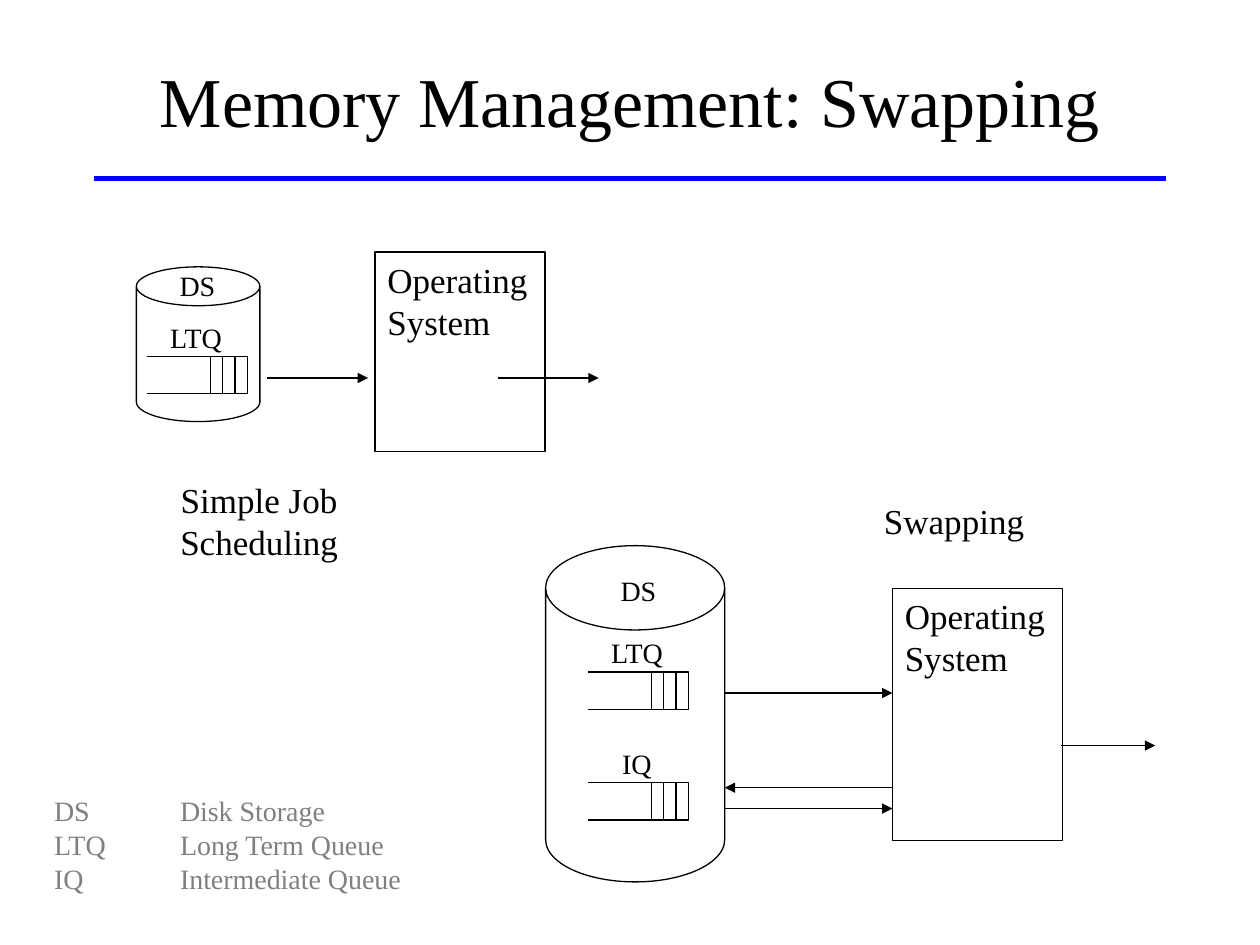
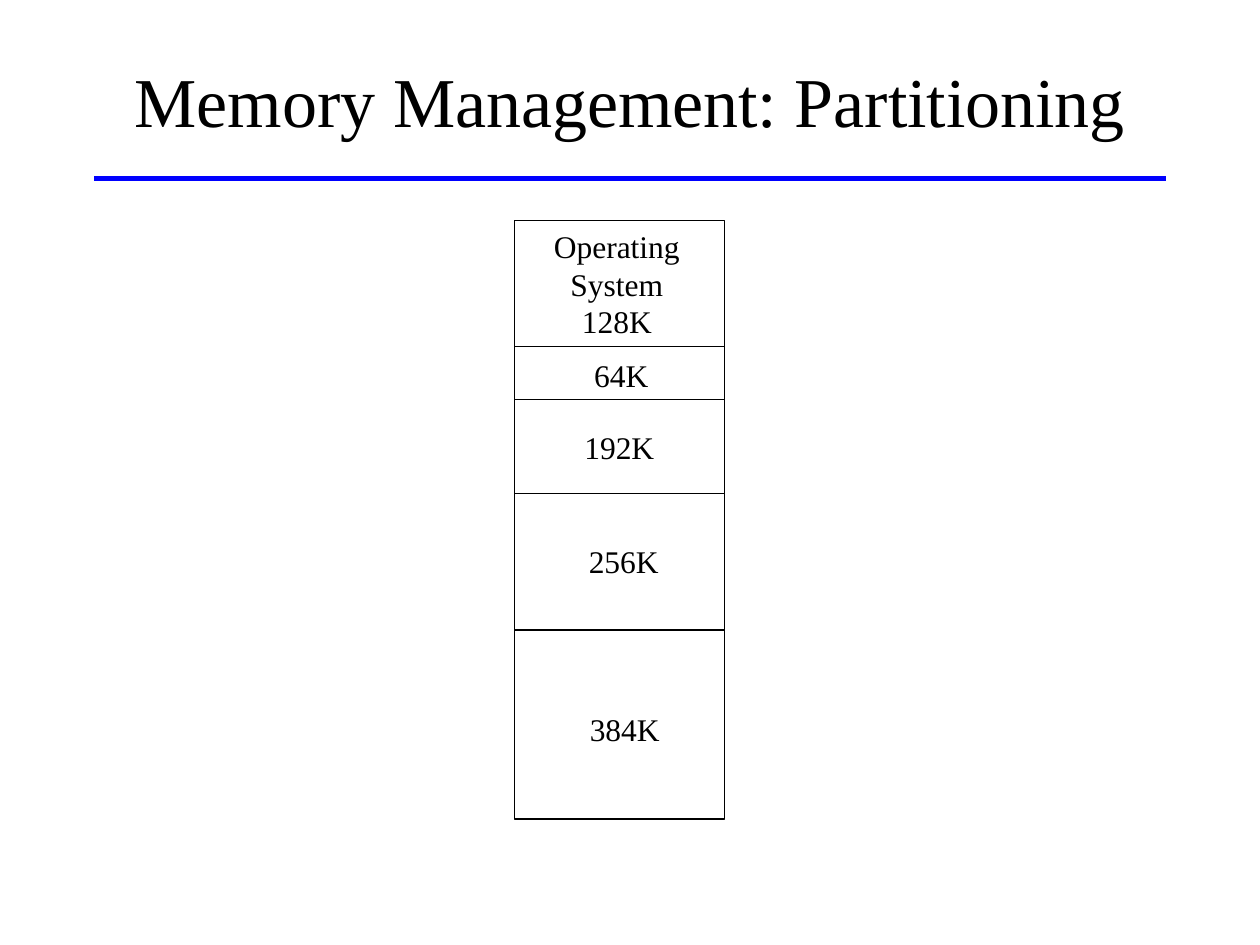
from lxml.etree import SubElement
from pptx import Presentation
from pptx.dml.color import RGBColor
from pptx.enum.shapes import MSO_CONNECTOR, MSO_SHAPE
from pptx.enum.text import MSO_ANCHOR, MSO_AUTO_SIZE, PP_ALIGN
from pptx.oxml.ns import qn
from pptx.util import Cm, Pt

COLORS = {"ink": "000000", "rule": "0000FF", "legend": "808080"}
FONT = "Times New Roman"
TITLE_ONLY = 5
OS_WIDTH = 3.43
TAB_WIDTH = Cm(2.54)


def color(name):
    return RGBColor.from_string(COLORS[name])


def write(frame, text, size, align=PP_ALIGN.LEFT, ink="ink", anchor=MSO_ANCHOR.TOP):
    """Fill a text frame; each line of text becomes a paragraph."""
    frame.text = text
    frame.word_wrap = True
    frame.auto_size = MSO_AUTO_SIZE.NONE
    frame.vertical_anchor = anchor
    for paragraph in frame.paragraphs:
        paragraph.alignment = align
        paragraph.font.name = FONT
        paragraph.font.size = Pt(size)
        paragraph.font.color.rgb = color(ink)


def add_text(slide, text, left, top, width, height, size, **style):
    box = slide.shapes.add_textbox(Cm(left), Cm(top), Cm(width), Cm(height))
    write(box.text_frame, text, size, **style)
    return box.text_frame


def outline(shape):
    shape.shadow.inherit = False
    shape.fill.background()
    shape.line.color.rgb = color("ink")
    shape.line.width = Pt(0.75)


def add_outlined(slide, kind, left, top, width, height):
    shape = slide.shapes.add_shape(kind, Cm(left), Cm(top), Cm(width), Cm(height))
    outline(shape)
    return shape


def add_line(slide, x1, y1, x2, y2, ink="ink", weight=0.75, arrow=False):
    line = slide.shapes.add_connector(
        MSO_CONNECTOR.STRAIGHT, Cm(x1), Cm(y1), Cm(x2), Cm(y2))
    line.line.color.rgb = color(ink)
    line.line.width = Pt(weight)
    if arrow:
        SubElement(line.line._get_or_add_ln(), qn("a:tailEnd"), type="triangle")
    SubElement(line._element.spPr, qn("a:effectLst"))


def start_slide(prs, title):
    """Slide with the shared title style and blue rule."""
    slide = prs.slides.add_slide(prs.slide_layouts[TITLE_ONLY])
    heading = slide.shapes.title
    heading.left, heading.top = Cm(1.9), Cm(0.42)
    heading.width, heading.height = Cm(21.6), Cm(3.18)
    write(heading.text_frame, title, 40, PP_ALIGN.CENTER, anchor=MSO_ANCHOR.MIDDLE)
    add_line(slide, 1.9, 3.6, 23.5, 3.6, "rule", 3)
    return slide


def add_queue(slide, name, left, top):
    """Open-ended queue with three slots at its right end."""
    width, height, slot = 2.02, 0.75, 0.25
    right, bottom = left + width, top + height
    builder = slide.shapes.build_freeform(Cm(left), Cm(top))
    builder.add_line_segments(
        [(Cm(right), Cm(top)), (Cm(right), Cm(bottom)), (Cm(left), Cm(bottom))],
        close=False)
    outline(builder.convert_to_shape())
    for i in range(1, 4):
        x = right - i * slot
        add_line(slide, x, top, x, bottom)
    add_text(slide, name, left - 0.03, top - 0.86, width, 0.94, 16,
             align=PP_ALIGN.CENTER)


def add_disk(slide, left, top, width, height, lid, name_top, queue_left, queues):
    """Disk storage cylinder holding queues, given as (name, top) in the disk."""
    disk = add_outlined(slide, MSO_SHAPE.CAN, left, top, width, height)
    disk.adjustments[0] = lid
    add_text(slide, "DS", left + queue_left, top + name_top, 2.02, 0.94, 16,
             align=PP_ALIGN.CENTER)
    for name, queue_top in queues:
        add_queue(slide, name, left + queue_left, top + queue_top)


def add_operating_system(slide, left, top, height):
    system = add_outlined(slide, MSO_SHAPE.RECTANGLE, left, top, OS_WIDTH, height)
    write(system.text_frame, "Operating\nSystem", 20)


def add_simple_scheduling(slide, left, top):
    add_disk(slide, left, top + 0.3, 2.49, 3.12, 0.315, -0.1, 0.22, [("LTQ", 1.81)])
    add_operating_system(slide, left + 4.81, top, 4.02)
    # Job flow into and out of memory
    for start in (2.64, 7.29):
        add_line(slide, left + start, top + 2.54, left + start + 2.03, top + 2.54,
                 arrow=True)
    add_text(slide, "Simple Job\vScheduling", left + 0.6, top + 4.45, 3.75, 1.9, 20,
             align=PP_ALIGN.CENTER)


def add_swapping(slide, left, top):
    disk_right, system_left = 3.61, 6.99
    system_right = system_left + OS_WIDTH
    add_disk(slide, left, top + 1.04, disk_right, 6.78, 0.471, 0.43, 0.86,
             [("LTQ", 2.55), ("IQ", 4.78)])
    add_operating_system(slide, left + system_left, top + 1.9, 5.08)
    # Load, swap out, swap in, leave
    for start, end, y in [(disk_right, system_left, 4.01),
                          (system_left, disk_right, 5.92),
                          (disk_right, system_left, 6.34),
                          (system_right - 0.03, system_right + 1.87, 5.07)]:
        add_line(slide, left + start, top + y, left + end, top + y, arrow=True)
    add_text(slide, "Swapping", left + 6.57, top - 0.01, 3.5, 1.1, 20)


def add_legend(slide, left, top):
    terms = [("DS", "Disk Storage"), ("LTQ", "Long Term Queue"),
             ("IQ", "Intermediate Queue")]
    legend = add_text(slide, "\n".join("\t".join(term) for term in terms),
                      left, top, 7.6, 2.29, 16, ink="legend")
    # Align the meanings on one tab stop
    for paragraph in legend.paragraphs:
        properties = paragraph._p.get_or_add_pPr()
        properties.set("defTabSz", str(TAB_WIDTH))
        stops = properties.get_or_add_defRPr()
        tabs = SubElement(properties, qn("a:tabLst"))
        SubElement(tabs, qn("a:tab"), pos=str(TAB_WIDTH), algn="l")
        stops.addprevious(tabs)


def add_partitions(slide, left, top):
    """Memory column divided into fixed partitions."""
    width = 4.23
    add_outlined(slide, MSO_SHAPE.RECTANGLE, left, top, width, 12.06)
    for border in (2.54, 8.25):
        add_line(slide, left, top + border, left + width, top + border)
    block = add_outlined(slide, MSO_SHAPE.RECTANGLE, left, top + 3.6, width, 1.9)
    write(block.text_frame, "192K", 18, PP_ALIGN.CENTER, anchor=MSO_ANCHOR.MIDDLE)
    # Sizes: text, shift from the column's centre, top, height
    for size, shift, size_top, height in [("Operating\nSystem\n128K", -0.05, 0, 2.54),
                                          ("64K", 0.04, 2.6, 1.02),
                                          ("256K", 0.09, 6.35, 1.02),
                                          ("384K", 0.11, 9.74, 1.02)]:
        add_text(slide, size, left + shift, top + size_top, width, height, 18,
                 align=PP_ALIGN.CENTER)


def main():
    prs = Presentation()
    prs.slide_width, prs.slide_height = Cm(25.4), Cm(19.05)

    swapping = start_slide(prs, "Memory Management: Swapping")
    add_simple_scheduling(swapping, 2.75, 5.08)
    add_swapping(swapping, 11, 9.96)
    add_legend(swapping, 0.84, 15.88)

    partitioning = start_slide(prs, "Memory Management: Partitioning")
    add_partitions(partitioning, 10.37, 4.45)

    prs.save("out.pptx")


if __name__ == "__main__":
    main()
